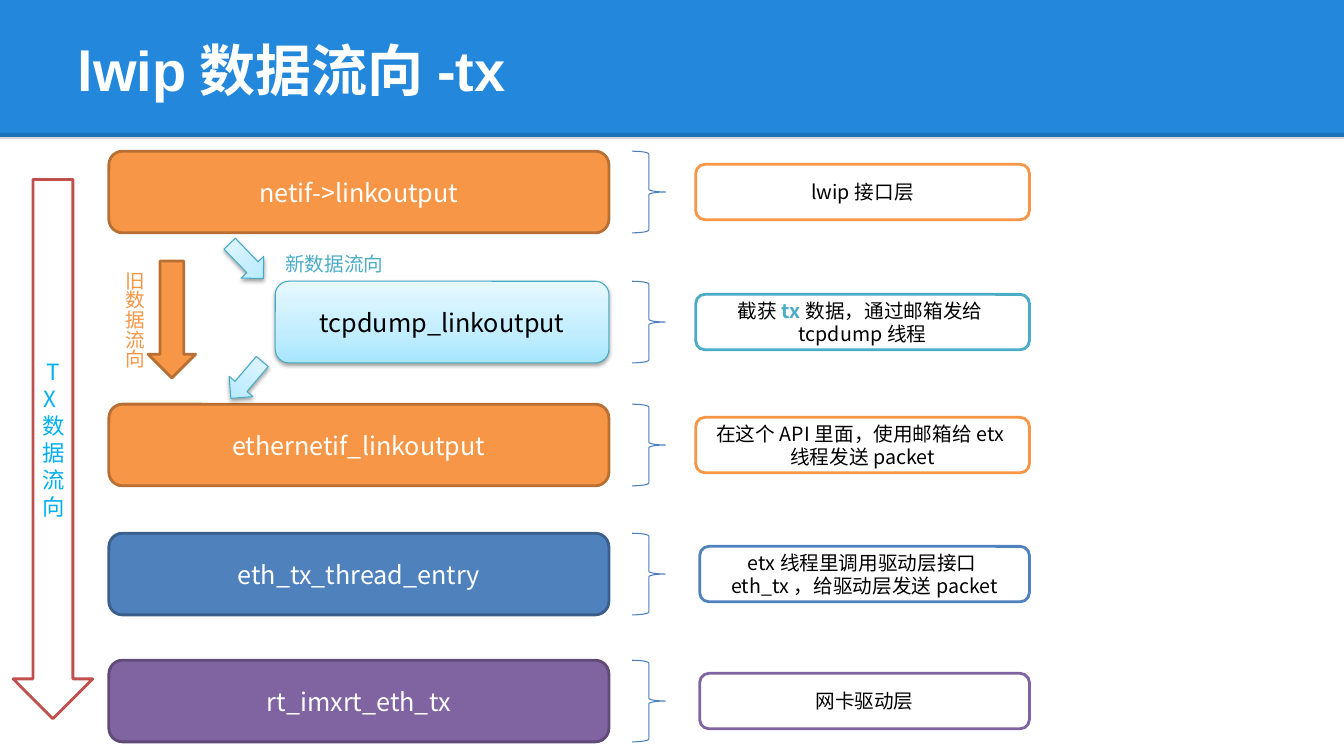
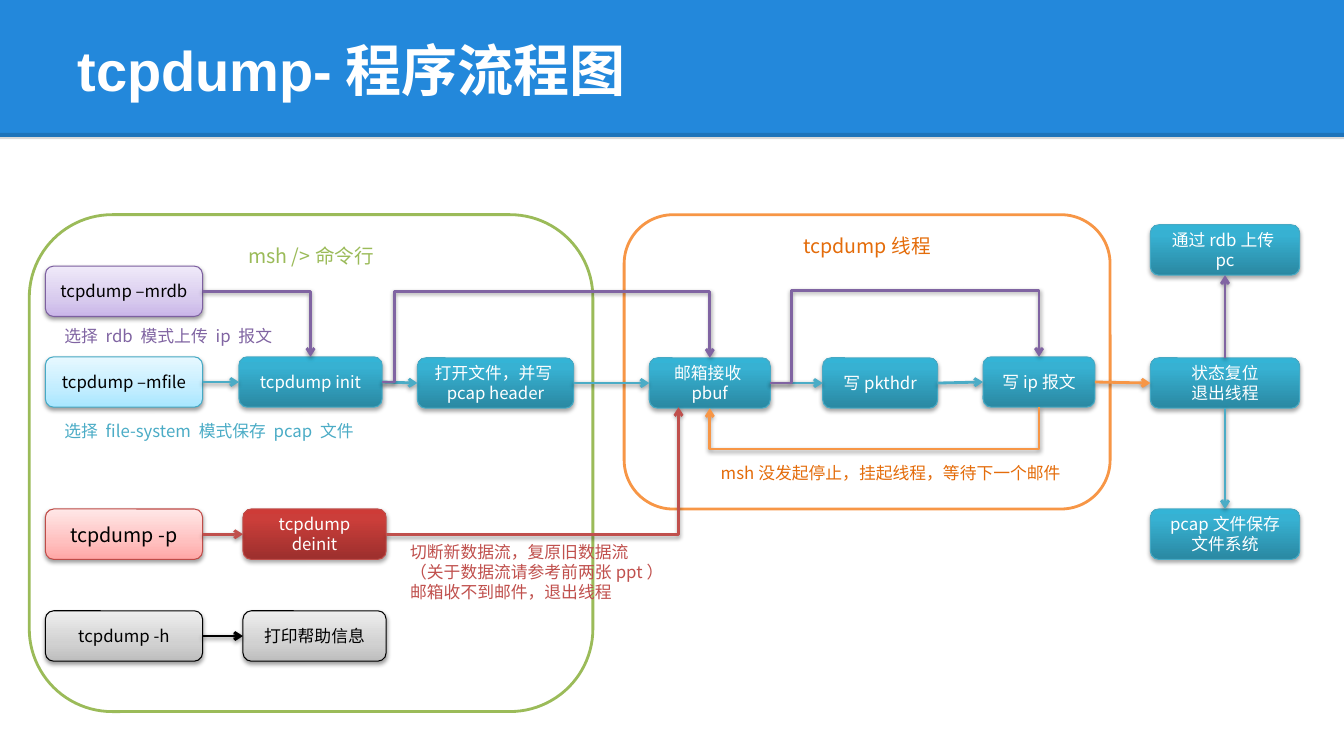
from dataclasses import dataclass, replace
from typing import Optional

from lxml.etree import SubElement
from pptx import Presentation
from pptx.dml.color import RGBColor
from pptx.enum.shapes import MSO_CONNECTOR, MSO_SHAPE
from pptx.enum.text import MSO_ANCHOR, MSO_AUTO_SIZE, PP_ALIGN
from pptx.oxml.ns import qn
from pptx.util import Inches, Pt


@dataclass(frozen=True)
class Theme:
    """Colours, fonts and type sizes of the deck."""
    head_font: str = "Arial"
    body_font: str = "Noto Sans CJK SC"
    title: int = 40
    large: int = 18
    medium: int = 16
    normal: int = 14
    small: int = 12
    band: str = "2388DB"
    black: str = "000000"
    white: str = "FFFFFF"
    orange: str = "F79646"
    dark_orange: str = "E46C0A"
    orange_edge: str = "B76F34"
    blue: str = "4F81BD"
    blue_edge: str = "3A5F8C"
    brace: str = "4B7EBC"
    purple: str = "8064A2"
    purple_edge: str = "5F4A78"
    teal: str = "4BACC6"
    teal_edge: str = "46AAC5"
    red: str = "C0504D"
    red_edge: str = "BF4C48"
    green: str = "9BBB59"
    cyan: str = "00B0F0"


T = Theme()


@dataclass(frozen=True)
class Shadow:
    """A downward shadow, offset in EMU and opacity in percent."""
    dist: int
    alpha: int


SOFT, STRONG = Shadow(20000, 38), Shadow(23000, 35)


@dataclass(frozen=True)
class Style:
    """Look of a shape; fill holds (position, colour) stops, bottom to top."""
    fill: tuple[tuple[int, str], ...]
    line: str
    width: float = 2
    color: str = T.white
    size: int = T.small
    shadow: Optional[Shadow] = None


def pale(bottom: str, middle: str, top: str, line: str) -> Style:
    """Return a light gradient style with black text."""
    return Style(((0, bottom), (35, middle), (100, top)), line, 0.75, T.black, shadow=SOFT)


def deep(bottom: str, middle: str, top: str, line: str) -> Style:
    """Return a dark gradient style with white text."""
    return Style(((0, bottom), (80, middle), (100, top)), line, 0.75, shadow=STRONG)


def solid(fill: str, line: str, size: int = T.large) -> Style:
    """Return a one-colour style with white text."""
    return Style(((0, fill),), line, size=size)


PALE_TEAL = pale("A7E6FF", "C1EDFF", "E7F8FF", T.teal_edge)
PALE_RED = replace(pale("FFA6A5", "FFC0BF", "FFE7E7", T.red_edge), size=T.normal)
PALE_PURPLE = pale("C9B5E8", "D8CBEE", "F0EAF9", "7D60A0")
GREY = pale("BDBDBD", "D1D1D1", "EEEEEE", T.black)
DEEP_TEAL = deep("2A88A2", "37B1D2", "34B4D6", T.teal_edge)
DEEP_RED = deep("9C2F2D", "CB3E3A", "CE3B37", T.red_edge)
ORANGE = solid(T.orange, T.orange_edge)


@dataclass(frozen=True)
class Layer:
    """A call in the transmit path and the note beside it."""
    left: float
    top: float
    name: str
    style: Style
    note: tuple[str, ...]
    note_left: float
    note_line: str


@dataclass(frozen=True)
class Step:
    """A box of the flow chart."""
    key: str
    left: float
    top: float
    width: float
    text: str
    style: Style = DEEP_TEAL


@dataclass(frozen=True)
class Link:
    """An arrow between step sides; end is a step key or a free point."""
    start: str
    start_side: int
    end: str | tuple[float, float]
    end_side: int
    color: str
    preset: str = "line"
    via_x: Optional[float] = None
    via_y: Optional[float] = None


@dataclass(frozen=True)
class Label:
    """A free caption."""
    left: float
    top: float
    width: float
    height: float
    text: str
    color: str
    size: int = T.small
    vert: str = ""


TOP, LEFT, BOTTOM, RIGHT = range(4)

LAYERS = (
    Layer(1.08, 1.5, "netif->linkoutput", ORANGE, ("lwip接口层",), 6.9, T.orange),
    Layer(2.73, 2.79, "tcpdump_linkoutput", replace(PALE_TEAL, size=T.large),
          ("截获", "tx", "数据，通过邮箱发给tcpdump线程"), 6.9, T.teal),
    Layer(1.08, 4.01, "ethernetif_linkoutput", ORANGE,
          ("在这个API里面，使用邮箱给etx线程发送packet",), 6.9, T.orange),
    Layer(1.08, 5.29, "eth_tx_thread_entry", solid(T.blue, T.blue_edge),
          ("etx线程里调用驱动层接口eth_tx，给驱动层发送packet",), 6.94, T.blue),
    Layer(1.08, 6.55, "rt_imxrt_eth_tx", solid(T.purple, T.purple_edge),
          ("网卡驱动层",), 6.94, T.purple),
)
TX_LABELS = (
    Label(2.73, 2.45, 1.28, 0.34, "新数据流向", T.teal, T.normal),
    Label(1.06, 2.59, 0.44, 1.08, "旧数据流向", T.orange, T.normal, "eaVert"),
)
STEPS = (
    Step("mrdb", 0.45, 2.64, 1.56, "tcpdump –mrdb", PALE_PURPLE),
    Step("mfile", 0.45, 3.54, 1.56, "tcpdump –mfile", PALE_TEAL),
    Step("stop", 0.45, 5.05, 1.56, "tcpdump -p", PALE_RED),
    Step("help", 0.45, 6.06, 1.56, "tcpdump -h", GREY),
    Step("init", 2.37, 3.54, 1.42, "tcpdump init"),
    Step("deinit", 2.41, 5.05, 1.42, "tcpdump deinit", DEEP_RED),
    Step("usage", 2.41, 6.06, 1.42, "打印帮助信息", GREY),
    Step("open", 4.14, 3.55, 1.55, "打开文件，并写pcap header"),
    Step("mailbox", 6.44, 3.55, 1.2, "邮箱接收pbuf"),
    Step("pkthdr", 8.16, 3.55, 1.14, "写pkthdr"),
    Step("ip", 9.75, 3.54, 1.11, "写ip报文"),
    Step("upload", 11.41, 2.23, 1.48, "通过rdb上传pc"),
    Step("reset", 11.41, 3.55, 1.48, "状态复位\n退出线程"),
    Step("save", 11.41, 5.05, 1.48, "pcap文件保存文件系统"),
)
LINKS = (
    Link("mfile", RIGHT, "init", LEFT, T.teal),
    Link("init", RIGHT, "open", LEFT, T.teal),
    Link("open", RIGHT, "mailbox", LEFT, T.teal),
    Link("mailbox", RIGHT, "pkthdr", LEFT, T.teal),
    Link("pkthdr", RIGHT, "ip", LEFT, T.teal),
    Link("ip", RIGHT, "reset", LEFT, T.orange),
    Link("reset", TOP, "upload", BOTTOM, T.purple),
    Link("reset", BOTTOM, "save", TOP, T.teal),
    Link("stop", RIGHT, "deinit", LEFT, T.red),
    Link("help", RIGHT, "usage", LEFT, T.black),
    Link("ip", BOTTOM, "mailbox", BOTTOM, T.orange, "bentConnector3", via_y=4.46),
    Link("mrdb", RIGHT, "init", TOP, T.purple, "bentConnector2"),
    Link("mailbox", RIGHT, "ip", TOP, T.purple, "bentConnector4", 7.85, 2.88),
    Link("init", RIGHT, "mailbox", TOP, T.purple, "bentConnector4", 3.91, 2.89),
    Link("deinit", RIGHT, (6.73, 4.04), BOTTOM, T.red, "bentConnector3", 6.73),
)
FLOW_LABELS = (
    Label(7.05, 4.54, 3.83, 0.3, "msh没发起停止，挂起线程，等待下一个邮件", T.dark_orange),
    Label(0.54, 3.18, 2.52, 0.3, "选择 rdb 模式上传 ip 报文", T.purple),
    Label(0.54, 4.12, 3.45, 0.3, "选择 file-system 模式保存 pcap 文件", T.teal),
    Label(3.97, 5.32, 2.9, 0.71,
          "切断新数据流，复原旧数据流\n（关于数据流请参考前两张ppt）\n邮箱收不到邮件，退出线程", T.red),
)


def format_text(tf, size: int, color: str, align=PP_ALIGN.CENTER, font: str = T.body_font) -> None:
    """Format every paragraph of a text frame alike."""
    for p in tf.paragraphs:
        p.alignment = align
        p.font.size, p.font.name = Pt(size), font
        p.font.color.rgb = RGBColor.from_string(color)
        SubElement(p.font._element, qn("a:ea"), typeface=T.body_font)


def add_shadow(effects, shadow: Shadow) -> None:
    """Add an outer shadow to an effect list."""
    outer = SubElement(effects, qn("a:outerShdw"), blurRad="40000", dist=str(shadow.dist),
                       dir="5400000", rotWithShape="0")
    clr = SubElement(outer, qn("a:srgbClr"), val=T.black)
    SubElement(clr, qn("a:alpha"), val=str(shadow.alpha * 1000))


def add_box(slide, kind, box: tuple[float, ...], style: Style, text: str = "", rotation: float = 0):
    """Draw a styled preset shape with centred text."""
    sp = slide.shapes.add_shape(kind, *map(Inches, box))
    sp.rotation = rotation
    sp.shadow.inherit = False
    if not style.fill:
        sp.fill.background()
    elif len(style.fill) == 1:
        sp.fill.solid()
        sp.fill.fore_color.rgb = RGBColor.from_string(style.fill[0][1])
    else:
        sp.fill.gradient()
        sp.fill.gradient_angle = 90
        stops = sp._element.spPr.find(".//" + qn("a:gsLst"))
        stops.clear()
        for pos, color in style.fill:
            gs = SubElement(stops, qn("a:gs"), pos=str(pos * 1000))
            SubElement(gs, qn("a:srgbClr"), val=color)
    sp.line.color.rgb = RGBColor.from_string(style.line)
    sp.line.width = Pt(style.width)
    if style.shadow:
        add_shadow(sp._element.spPr.find(qn("a:effectLst")), style.shadow)
    if text:
        sp.text_frame.text = text
        format_text(sp.text_frame, style.size, style.color)
    return sp


def add_label(slide, label: Label) -> None:
    """Draw a caption that does not wrap."""
    box = (label.left, label.top, label.width, label.height)
    tf = slide.shapes.add_textbox(*map(Inches, box)).text_frame
    tf.text = label.text
    tf.word_wrap = False
    tf.auto_size = MSO_AUTO_SIZE.SHAPE_TO_FIT_TEXT
    if label.vert:
        tf._txBody.bodyPr.set("vert", label.vert)
    format_text(tf, label.size, label.color, PP_ALIGN.LEFT)


def add_link(slide, link: Link, boxes: dict) -> None:
    """Draw an arrow glued to its steps, bent through its via values."""
    loose = isinstance(link.end, tuple)
    x, y = map(Inches, link.end) if loose else (0, 0)
    c = slide.shapes.add_connector(MSO_CONNECTOR.STRAIGHT, 0, 0, x, y)
    c.begin_connect(boxes[link.start], link.start_side)
    if not loose:
        c.end_connect(boxes[link.end], link.end_side)
    c.line.color.rgb = RGBColor.from_string(link.color)
    c.line.width = Pt(2)
    sp_pr = c._element.spPr
    SubElement(sp_pr.find(qn("a:ln")), qn("a:tailEnd"), type="arrow")
    add_shadow(SubElement(sp_pr, qn("a:effectLst")), SOFT)

    geom = sp_pr.find(qn("a:prstGeom"))
    geom.set("prst", link.preset)
    ratios = []
    if link.via_x is not None:
        ratios.append((Inches(link.via_x) - c.begin_x) / (c.end_x - c.begin_x))
    if link.via_y is not None:
        ratios.append((Inches(link.via_y) - c.begin_y) / (c.end_y - c.begin_y))
    for i, ratio in enumerate(ratios, 1):
        SubElement(geom.find(qn("a:avLst")), qn("a:gd"), name=f"adj{i}",
                   fmla=f"val {round(ratio * 100000)}")
    if link.via_y is not None and link.via_x is None:
        mid_x, mid_y = c.left + c.width // 2, c.top + c.height // 2
        c.width, c.height = c.height, c.width
        c.left, c.top = mid_x - c.width // 2, mid_y - c.height // 2
        xfrm = sp_pr.find(qn("a:xfrm"))
        xfrm.attrib.pop("flipH", None)
        xfrm.set("rot", "5400000")


def add_title_slide(prs, title: str):
    """Add a title-only slide and format its title."""
    slide = prs.slides.add_slide(prs.slide_layouts[5])
    sp = slide.shapes.title
    sp.left, sp.top, sp.width, sp.height = map(Inches, (0.67, 0.06, 12, 1.25))
    tf = sp.text_frame
    tf.text = title
    tf.vertical_anchor = MSO_ANCHOR.MIDDLE
    format_text(tf, T.title, T.white, PP_ALIGN.LEFT, T.head_font)
    tf.paragraphs[0].font.bold = True
    return slide


def add_band(slide) -> None:
    """Build the title band and move it to the layout all slides share."""
    band = add_box(slide, MSO_SHAPE.RECTANGLE, (0, 0, 13.33, 1.36), solid(T.band, T.band))
    band.line.fill.background()
    edge = slide.shapes.add_connector(MSO_CONNECTOR.STRAIGHT, 0, Inches(1.35),
                                      Inches(13.33), Inches(1.35))
    edge.line.color.rgb = RGBColor.from_string(T.black)
    edge.line.width = Pt(4.5)
    sp_pr = edge._element.spPr
    SubElement(sp_pr.find(".//" + qn("a:srgbClr")), qn("a:alpha"), val="15000")
    SubElement(sp_pr, qn("a:effectLst"))
    for i, sp in enumerate((band, edge)):
        slide.slide_layout.shapes._spTree.insert(2 + i, sp._element)


def build_tx(slide) -> None:
    """Draw the transmit path."""
    for layer in LAYERS:
        add_box(slide, MSO_SHAPE.ROUNDED_RECTANGLE,
                (layer.left, layer.top, 6.04 - layer.left, 0.81), layer.style, layer.name)
        add_box(slide, MSO_SHAPE.RIGHT_BRACE, (6.27, layer.top, 0.33, 0.81),
                Style((), T.brace, 0.75))
        note = add_box(slide, MSO_SHAPE.ROUNDED_RECTANGLE,
                       (layer.note_left, layer.top + 0.13, 10.21 - layer.note_left, 0.55),
                       solid(T.white, layer.note_line))
        p = note.text_frame.paragraphs[0]
        for i, text in enumerate(layer.note):
            r = p.add_run()
            r.text = text
            if i == 1:
                r.font.bold = True
                r.font.color.rgb = RGBColor.from_string(T.teal)
        format_text(note.text_frame, T.normal, T.black)
    flow = add_box(slide, MSO_SHAPE.DOWN_ARROW, (0.13, 1.78, 0.79, 5.35),
                   replace(solid(T.white, T.red, T.medium), color=T.cyan), "TX数据流向")
    flow.text_frame._txBody.bodyPr.set("vert", "wordArtVertRtl")
    add_box(slide, MSO_SHAPE.DOWN_ARROW, (1.47, 2.59, 0.47, 1.16), ORANGE)
    for top, angle in ((2.35, 316), (3.53, 40.4)):
        add_box(slide, MSO_SHAPE.DOWN_ARROW, (2.29, top, 0.31, 0.48), PALE_TEAL, rotation=angle)
    for label in TX_LABELS:
        add_label(slide, label)


def build_flow(slide) -> None:
    """Draw the program flow chart."""
    boxes = {s.key: add_box(slide, MSO_SHAPE.ROUNDED_RECTANGLE,
                            (s.left, s.top, s.width, 0.5), s.style, s.text) for s in STEPS}
    for box, line, color, text in (
            ((0.29, 2.13, 5.59, 4.93), T.green, T.green, "msh />命令行"),
            ((6.19, 2.13, 4.82, 2.92), T.orange, T.dark_orange, "tcpdump线程")):
        frame = add_box(slide, MSO_SHAPE.ROUNDED_RECTANGLE, box,
                        Style((), line, color=color, size=T.normal), text)
        frame.text_frame.vertical_anchor = MSO_ANCHOR.TOP
    for link in LINKS:
        add_link(slide, link, boxes)
    for label in FLOW_LABELS:
        add_label(slide, label)


def main() -> None:
    """Build and save the deck."""
    prs = Presentation()
    prs.slide_width, prs.slide_height = Inches(13.33), Inches(7.5)
    tx = add_title_slide(prs, "lwip数据流向-tx")
    add_band(tx)
    build_tx(tx)
    build_flow(add_title_slide(prs, "tcpdump-程序流程图"))
    prs.save("out.pptx")


main()
